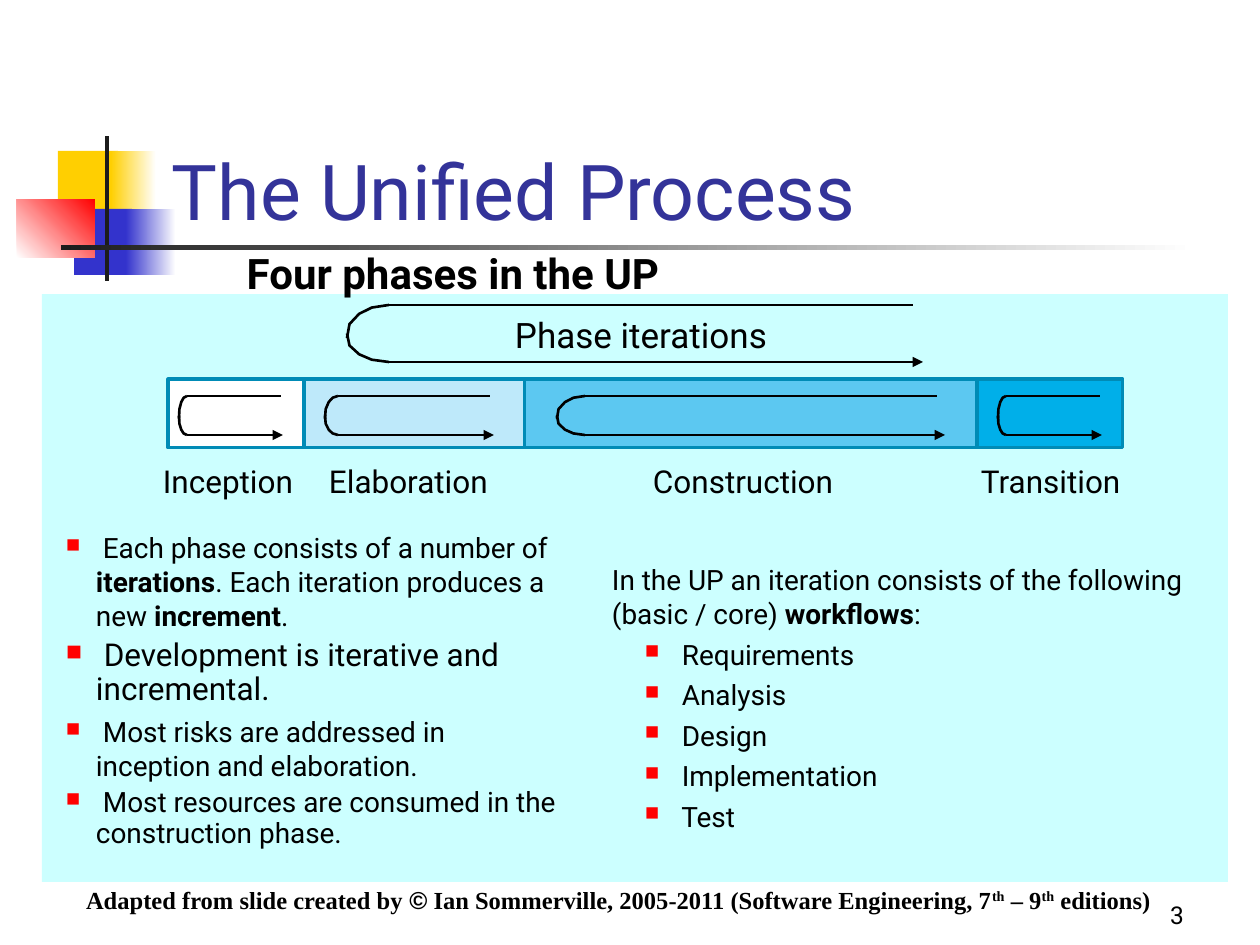
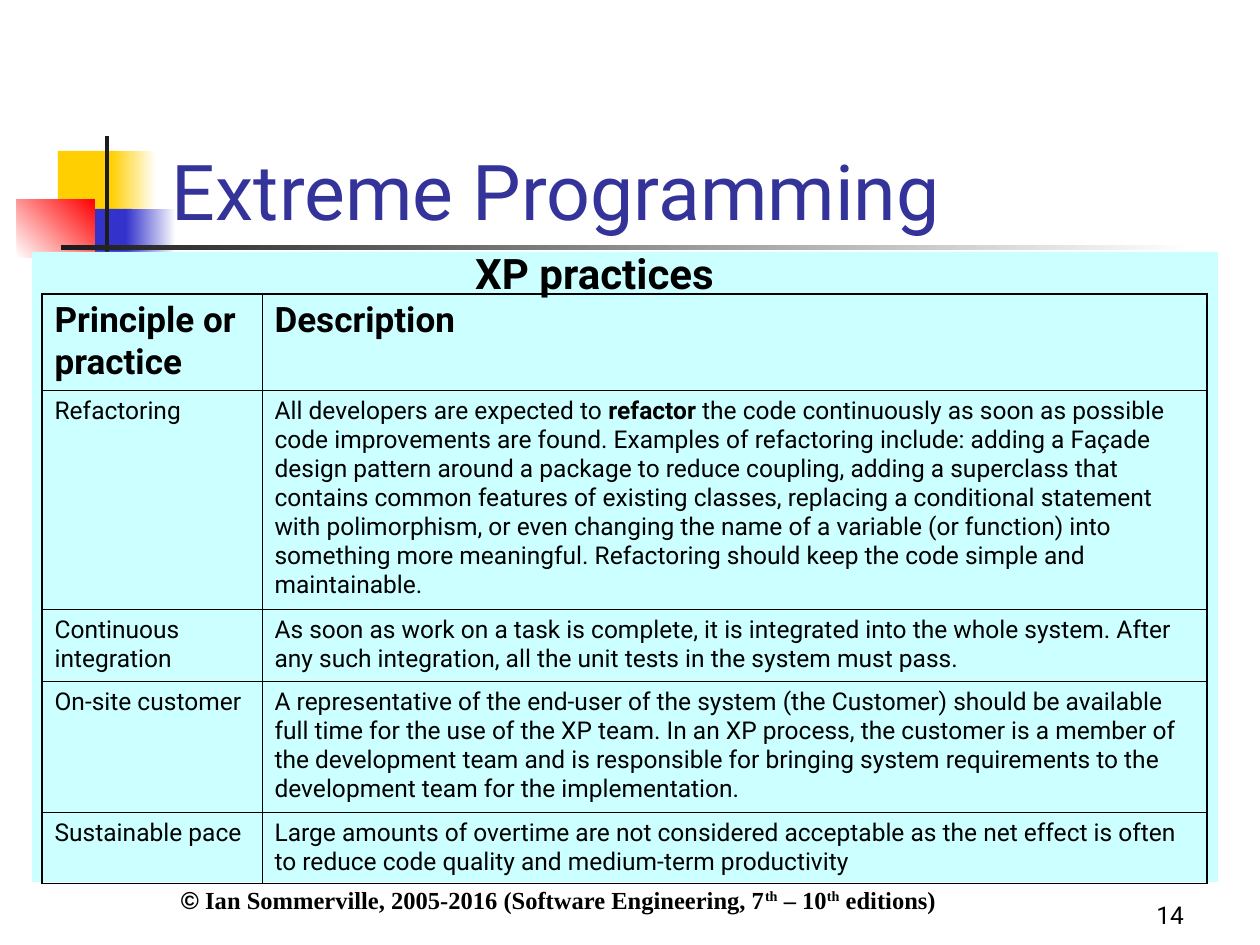
"""Build two slides on the Unified Process and Extreme Programming."""
import pptx
import pptx.util
import pptx.dml.color
import pptx.enum.shapes
import pptx.enum.text
import pptx.oxml
import pptx.oxml.ns

RGBColor = pptx.dml.color.RGBColor
Align = pptx.enum.text.PP_ALIGN
Anchor = pptx.enum.text.MSO_ANCHOR
EMU_PER_PX = 914400 / 126

BLACK = RGBColor(0x00, 0x00, 0x00)
WHITE = RGBColor(0xFF, 0xFF, 0xFF)
RED = RGBColor(0xFF, 0x00, 0x00)
YELLOW = RGBColor(0xFF, 0xCF, 0x01)
BLUE = RGBColor(0x33, 0x33, 0xCC)
CHARCOAL = RGBColor(0x1C, 0x1C, 0x1C)
TITLE_BLUE = RGBColor(0x33, 0x33, 0x99)
PANEL_CYAN = RGBColor(0xCC, 0xFF, 0xFF)
PHASE_EDGE = RGBColor(0x00, 0x8B, 0xB6)
ELABORATION_BLUE = RGBColor(0xBE, 0xE9, 0xFA)
CONSTRUCTION_BLUE = RGBColor(0x5C, 0xC8, 0xF1)
TRANSITION_BLUE = RGBColor(0x00, 0xAF, 0xE9)

BODY_FONT = "Roboto"
FOOTER_FONT = "Times New Roman"
BOLD = {"bold": True}
SUPER = {"baseline": 30000}
MARGINS = (13, 6, 13, 6)

DECORATION = [
    ((58, 151, 60, 66), (YELLOW,), 0),
    ((111, 151, 45, 66), (YELLOW, WHITE), 0),
    ((74, 209, 58, 66), (BLUE,), 0),
    ((126, 209, 50, 66), (BLUE, WHITE), 0),
    ((17, 199, 78, 59), (WHITE, RED), 45),
    ((105, 136, 4, 145), (CHARCOAL,), 0),
    ((61, 245, 1134, 5), (CHARCOAL, WHITE), 0),
]

PHASES = [
    {"name": "Inception", "right": 304, "fill": WHITE, "label": (163, 141),
     "loop": (179, 8, 281, 283)},
    {"name": "Elaboration", "right": 525, "fill": ELABORATION_BLUE, "label": (329, 170),
     "loop": (325, 13, 490, 494)},
    {"name": "Construction", "right": 977, "fill": CONSTRUCTION_BLUE, "label": (653, 190),
     "loop": (557, 28, 937, 945)},
    {"name": "Transition", "right": 1123, "fill": TRANSITION_BLUE, "label": (981, 149),
     "loop": (998, 8, 1100, 1102)},
]
PHASES_LEFT, PHASES_TOP, PHASES_HEIGHT = 168, 379, 69
LABEL_TOP = 462
PHASE_LOOP_ROWS = (396, 435)
OVERALL_LOOP = (347, 42, 913, 923)
OVERALL_LOOP_ROWS = (305, 362)
ARC = [(0, 1), (0.06, 0.58), (0.29, 0.27), (0.59, 0.08), (1, 0)]

PHASE_NOTES = [
    (16, 1, [" Each phase consists of a number of ", ("iterations", BOLD),
             ". Each iteration produces a new ", ("increment", BOLD), "."]),
    (18, 0.9, [" Development is iterative and incremental."]),
    (16, 1, [" Most risks are addressed in inception and elaboration."]),
    (16, 0.9, [" Most resources are consumed in the construction phase."]),
]
WORKFLOW_INTRO = ["In the UP an iteration consists of the following (basic / core) ",
                  ("workflows", BOLD), ":"]
WORKFLOWS = [" Requirements", " Analysis", " Design", " Implementation", " Test"]

PRACTICES = [
    ("Principle or practice", ["Description"]),
    ("Refactoring", [
        "All developers are expected to ", ("refactor", BOLD),
        " the code continuously as soon as possible code improvements are found. "
        "Examples of refactoring include: adding a Façade design pattern around a package "
        "to reduce coupling, adding a superclass that contains common features of existing "
        "classes, replacing a conditional statement with polimorphism, or even changing the "
        "name of a variable (or function) into something more meaningful. Refactoring should "
        "keep the code simple and maintainable."]),
    ("Continuous integration", [
        "As soon as work on a task is complete, it is integrated into the whole system. "
        "After any such integration, all the unit tests in the system must pass."]),
    ("On-site customer", [
        "A representative of the end-user of the system (the Customer) should be available "
        "full time for the use of the XP team. In an XP process, the customer is a member of "
        "the development team and is responsible for bringing system requirements to the "
        "development team for the implementation."]),
    ("Sustainable pace", [
        "Large amounts of overtime are not considered acceptable as the net effect is often "
        "to reduce code quality and medium-term productivity"]),
]
COLUMN_WIDTHS = [220, 945]
ROW_HEIGHTS = [96, 219, 71, 131, 71]
OUTER_BORDER, INNER_BORDER = 1.08, 0.45


def px(length):
    return pptx.util.Emu(round(length * EMU_PER_PX))


def add_xml(parent, markup):
    namespace = pptx.oxml.ns.nsdecls("a")
    head, slash, tail = markup.partition("/>")
    if ">" in head:
        head, slash, tail = markup.partition(">")
    parent.append(pptx.oxml.parse_xml(f"{head} {namespace}{slash}{tail}"))


def write(para, spans, size, color=BLACK, bold=False, font=BODY_FONT, align=Align.LEFT):
    para.alignment = align
    for item in spans:
        text, style = (item, {}) if isinstance(item, str) else item
        span = para.add_run()
        span.text = text
        span.font.name = style.get("font", font)
        span.font.size = pptx.util.Pt(size)
        span.font.bold = style.get("bold", bold)
        span.font.color.rgb = color
        if "baseline" in style:
            span.font._element.set("baseline", str(style["baseline"]))


def add_bullet(para, margin, hanging=30):
    properties = para._p.get_or_add_pPr()
    properties.set("marL", str(px(margin)))
    properties.set("indent", str(-px(hanging)))
    add_xml(properties, f'<a:buClr><a:srgbClr val="{RED}"/></a:buClr>')
    add_xml(properties, '<a:buSzPct val="70000"/>')
    add_xml(properties, '<a:buChar char="■"/>')


def add_text(page, place, margins=MARGINS, wrap=True, anchor=Anchor.TOP):
    box = page.shapes.add_textbox(*map(px, place))
    frame = box.text_frame
    frame.word_wrap = wrap
    frame.vertical_anchor = anchor
    (frame.margin_left, frame.margin_top,
     frame.margin_right, frame.margin_bottom) = map(px, margins)
    return frame


def add_rectangle(page, place, colors, angle=0, edge=None):
    box = page.shapes.add_shape(pptx.enum.shapes.MSO_SHAPE.RECTANGLE, *map(px, place))
    box.shadow.inherit = False
    if len(colors) == 1:
        box.fill.solid()
        box.fill.fore_color.rgb = colors[0]
    else:
        box.fill.gradient()
        box.fill.gradient_angle = angle
        for stop, color in zip(box.fill.gradient_stops, colors):
            stop.color.rgb = color
    if edge:
        box.line.color.rgb = edge
        box.line.width = pptx.util.Pt(1.75)
    else:
        box.line.fill.background()


def style_stroke(stroke):
    stroke.line.color.rgb = BLACK
    stroke.line.width = pptx.util.Pt(1.5)


def add_line(page, start, end, arrow=False):
    straight = pptx.enum.shapes.MSO_CONNECTOR.STRAIGHT
    line = page.shapes.add_connector(straight, *map(px, start + end))
    style_stroke(line)
    if arrow:
        add_xml(line.line._get_or_add_ln(), '<a:tailEnd type="triangle"/>')
    add_xml(line._element.spPr, "<a:effectLst/>")


def add_loop(page, loop, rows):
    left, arc_width, line_end, arrow_end = loop
    top, bottom = rows
    bend = left + arc_width
    add_line(page, (line_end, top), (bend, top))
    for edge, reach in ((top, 0.58), (bottom, -0.5)):
        points = [(px(left + x * arc_width), px(edge + y * reach * (bottom - top)))
                  for x, y in ARC]
        builder = page.shapes.build_freeform(*points[0])
        builder.add_line_segments(points[1:], close=False)
        curve = builder.convert_to_shape()
        curve.shadow.inherit = False
        curve.fill.background()
        style_stroke(curve)
    add_line(page, (bend, bottom), (arrow_end, bottom), arrow=True)


def start_page(deck, number, panel):
    page = deck.slides.add_slide(deck.slide_layouts[6])
    for place, colors, angle in DECORATION:
        add_rectangle(page, place, colors, angle)
    frame = add_text(page, (935, 872, 262, 63), anchor=Anchor.BOTTOM)
    write(frame.paragraphs[0], [str(number)], 14, align=Align.RIGHT)
    add_rectangle(page, panel, (PANEL_CYAN,))
    return page


def add_headings(page, title, subtitle, subtitle_place):
    frame = add_text(page, (159, 84, 1074, 158), anchor=Anchor.BOTTOM)
    write(frame.paragraphs[0], [title], 44, TITLE_BLUE)
    frame = add_text(page, subtitle_place, wrap=False)
    write(frame.paragraphs[0], [subtitle], 24, bold=True, align=Align.CENTER)


def add_footer(page, left, width, last_year, last_edition, credit=()):
    para = add_text(page, (left, 882, width, 39)).paragraphs[0]
    para.line_spacing = 0.9
    spans = [*credit, ("©", {"font": "Arial"}),
             f" Ian Sommerville, 2005-{last_year} (Software Engineering, 7", ("th", SUPER),
             f" – {last_edition}", ("th", SUPER), " editions)"]
    write(para, spans, 14, bold=True, font=FOOTER_FONT)


def add_phases(page):
    left = PHASES_LEFT
    for phase in PHASES:
        place = (left, PHASES_TOP, phase["right"] - left, PHASES_HEIGHT)
        add_rectangle(page, place, (phase["fill"],), edge=PHASE_EDGE)
        label_left, label_width = phase["label"]
        frame = add_text(page, (label_left, LABEL_TOP, label_width, 38), (0, 0, 0, 0), False)
        write(frame.paragraphs[0], [phase["name"]], 18)
        left = phase["right"]
    for phase in PHASES:
        add_loop(page, phase["loop"], PHASE_LOOP_ROWS)
    frame = add_text(page, (515, 313, 266, 42), (0, 0, 0, 0), False)
    write(frame.paragraphs[0], ["Phase iterations"], 20)
    add_loop(page, OVERALL_LOOP, OVERALL_LOOP_ROWS)


def add_notes(page):
    frame = add_text(page, (53, 525, 525, 331))
    for index, (size, spacing, spans) in enumerate(PHASE_NOTES):
        para = frame.add_paragraph() if index else frame.paragraphs[0]
        add_bullet(para, 30)
        para.line_spacing = spacing
        if index:
            para.space_before = pptx.util.Pt(size / 4)
        write(para, spans, size)
    frame = add_text(page, (599, 557, 599, 284))
    write(frame.paragraphs[0], WORKFLOW_INTRO, 16)
    for workflow in WORKFLOWS:
        para = frame.add_paragraph()
        add_bullet(para, 63)
        para.space_before = pptx.util.Pt(4)
        write(para, [workflow], 16)


def add_borders(cell, outer_sides):
    properties = cell._tc.get_or_add_tcPr()
    for side in "LRTB":
        width = pptx.util.Pt(OUTER_BORDER if side in outer_sides else INNER_BORDER)
        add_xml(properties, f'<a:ln{side}><a:solidFill><a:srgbClr val="{BLACK}"/>'
                            f'</a:solidFill></a:ln{side}>')
        properties[-1].set("w", str(width))


def add_practices(page):
    place = (42, 294, sum(COLUMN_WIDTHS), sum(ROW_HEIGHTS))
    table = page.shapes.add_table(len(PRACTICES), 2, *map(px, place)).table
    table.first_row = table.horz_banding = False
    for column, width in zip(table.columns, COLUMN_WIDTHS):
        column.width = px(width)
    for index, (name, description) in enumerate(PRACTICES):
        table.rows[index].height = px(ROW_HEIGHTS[index])
        row_sides = {0: "T", len(PRACTICES) - 1: "B"}.get(index, "")
        for position, spans in enumerate(([name], description)):
            cell = table.cell(index, position)
            add_borders(cell, row_sides + "LR"[position])
            cell.fill.background()
            write(cell.text_frame.paragraphs[0], spans, 14 if index else 20, bold=not index)


def main():
    deck = pptx.Presentation()
    deck.slide_width, deck.slide_height = px(1260), px(945)

    page = start_page(deck, 3, (42, 294, 1186, 588))
    add_headings(page, "The Unified Process", "Four phases in the UP", (213, 242, 480, 63))
    add_phases(page)
    add_notes(page)
    add_footer(page, 73, 1155, 2011, 9, ["Adapted from slide created by "])

    page = start_page(deck, 14, (32, 252, 1186, 630))
    add_footer(page, 168, 819, 2016, 10)
    add_practices(page)
    add_headings(page, "Extreme Programming", "XP practices", (454, 242, 281, 63))
    deck.save("out.pptx")


if __name__ == "__main__":
    main()
